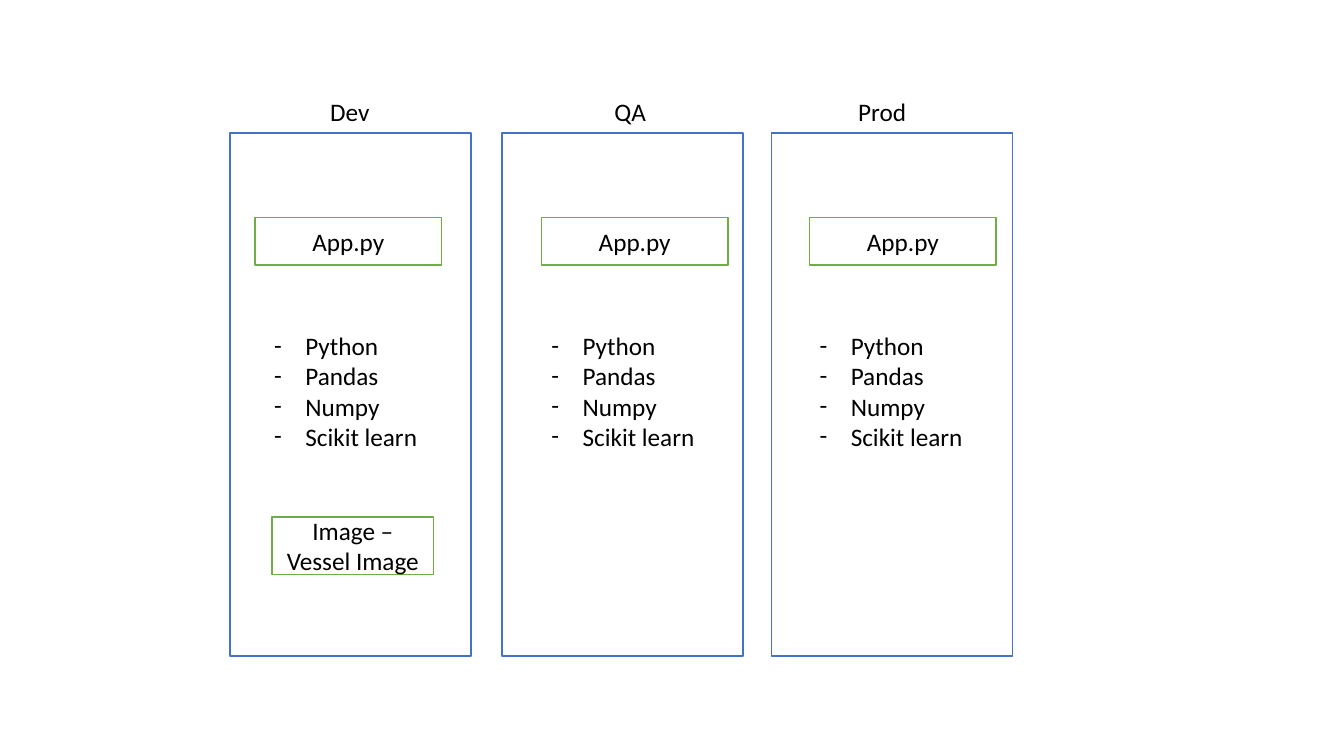
from lxml import etree
from pptx import Presentation, util as u
from pptx.dml.color import RGBColor
from pptx.enum import shapes, text
from pptx.oxml.ns import qn

theme = {
    "font": "Calibri", "size": u.Pt(18), "ink": RGBColor.from_string("000000"),
    "fill": RGBColor.from_string("FFFFFF"), "line": u.Pt(1),
    "blue": RGBColor.from_string("4472C4"), "green": RGBColor.from_string("70AD47"),
}

deck = Presentation()
deck.slide_width, deck.slide_height = u.Inches(13.33), u.Inches(7.5)
slide = deck.slides.add_slide(deck.slide_layouts[6])


def write(shape, lines, align, frame):
    body = shape.text_frame
    for name, value in frame.items():
        setattr(body, name, value)
    body.text = "\n".join(lines)
    for para in body.paragraphs:
        para.alignment = align
        font = para.runs[0].font
        for name, value in {"name": theme["font"], "size": theme["size"]}.items():
            setattr(font, name, value)
        font.color.rgb = theme["ink"]


def add_box(place, color, label=None):
    box = slide.shapes.add_shape(shapes.MSO_SHAPE.RECTANGLE, *map(u.Inches, place))
    box.shadow.inherit = False
    box.fill.solid()
    box.fill.fore_color.rgb = theme["fill"]
    box.line.color.rgb = theme[color]
    box.line.width = theme["line"]
    if label:
        write(box, [label], text.PP_ALIGN.CENTER,
              {"word_wrap": True, "vertical_anchor": text.MSO_ANCHOR.MIDDLE})


# Stages: name, then left edges of panel, title, app box and package list
stages = [
    ("Dev", 2.28, 2.87, 2.53, 2.62),
    ("QA", 4.98, 5.65, 5.37, 5.37),
    ("Prod", 7.65, 8.15, 8.03, 8.03),
]
packs = ["Python", "Pandas", "Numpy", "Scikit learn"]
grow = {"word_wrap": True, "auto_size": text.MSO_AUTO_SIZE.SHAPE_TO_FIT_TEXT}

for stage, panel, title, app, pack in stages:
    # Panel and title
    add_box((panel, 1.32, 2.39, 5.19), "blue")
    head = slide.shapes.add_textbox(*map(u.Inches, (title, 0.91, 1.2, 0.4)))
    write(head, [stage], text.PP_ALIGN.CENTER, grow)

    # App
    add_box((app, 2.16, 1.85, 0.47), "green", "App.py")

    # Dashed package list
    bloc = slide.shapes.add_textbox(*map(u.Inches, (pack, 3.23, 2.02, 1.31)))
    write(bloc, packs, text.PP_ALIGN.LEFT, grow)
    for para in bloc.text_frame.paragraphs:
        props = para._p.get_or_add_pPr()
        props.set("marL", str(u.Inches(0.31)))
        props.set("indent", str(u.Inches(-0.31)))
        etree.SubElement(props, qn("a:buFont")).set("typeface", theme["font"])
        etree.SubElement(props, qn("a:buChar")).set("char", "-")

# Image built in the first stage
add_box((2.7, 5.13, 1.6, 0.57), "green", "Image – Vessel Image")

deck.save("out.pptx")
